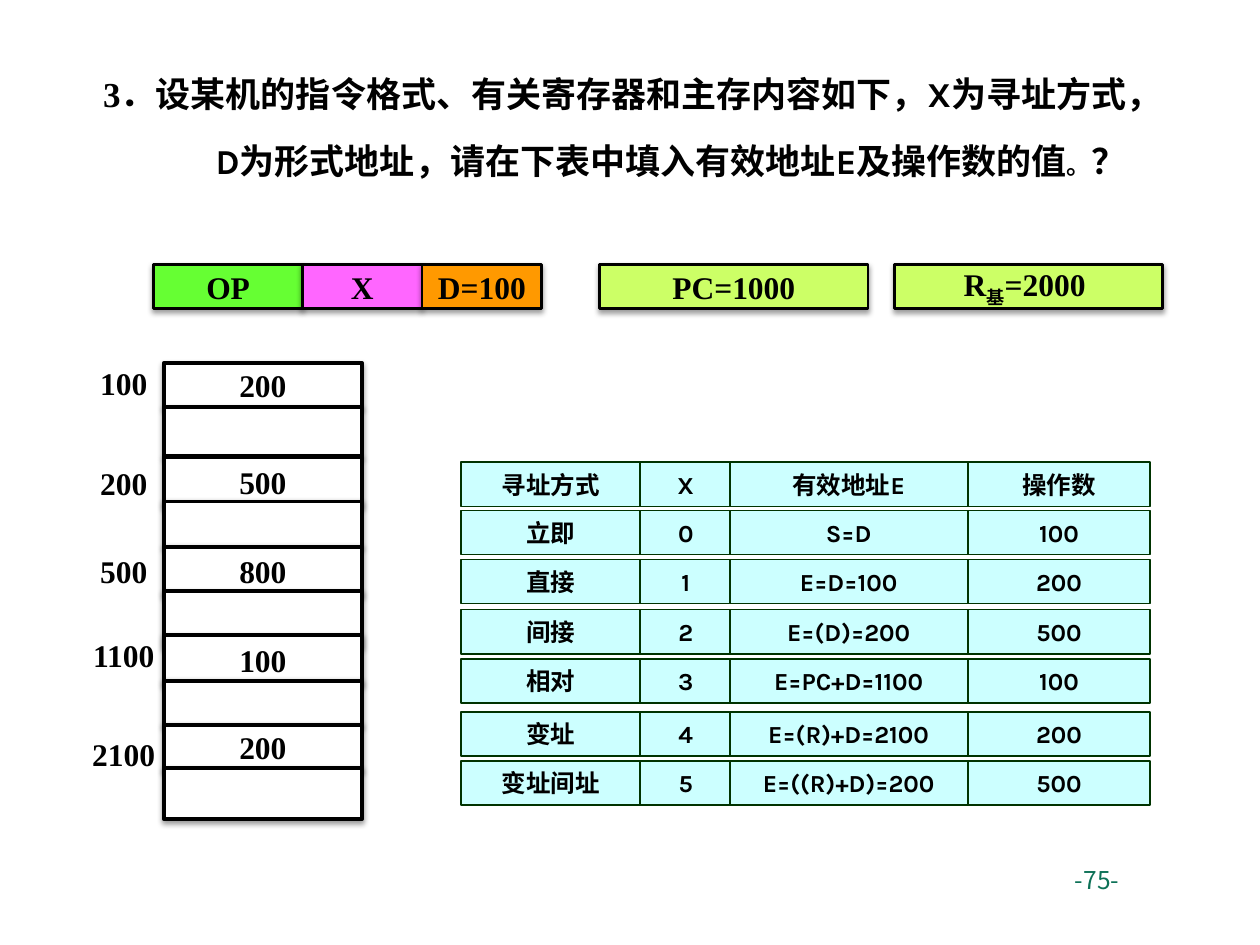
from lxml.etree import SubElement
from pptx import Presentation
from pptx.dml.color import RGBColor
from pptx.enum.shapes import MSO_SHAPE
from pptx.enum.text import MSO_ANCHOR, MSO_AUTO_SIZE, PP_ALIGN
from pptx.oxml.ns import qn
from pptx.util import Cm, Pt


def colour(code):
    return RGBColor.from_string(code)


class Sheet:
    serif = "Times New Roman"
    sans = "Karla"
    ink = "000000"
    table_fill = "CCFFFF"
    table_line = "003300"

    def __init__(self, page):
        self.page = page

    def style(self, span, size, font, code=ink, bold=True):
        span.font.size = Pt(size)
        span.font.name = font
        span.font.bold = bold
        span.font.color.rgb = colour(code)

    def centre_text(self, box, text, size, font):
        frame = box.text_frame
        frame.text = text
        frame.vertical_anchor = MSO_ANCHOR.MIDDLE
        para = frame.paragraphs[0]
        para.alignment = PP_ALIGN.CENTER
        for span in para.runs:
            self.style(span, size, font)
        return para

    def rectangle(self, left, top, width, height, fill, line, weight):
        box = self.page.shapes.add_shape(
            MSO_SHAPE.RECTANGLE, Cm(left), Cm(top), Cm(width), Cm(height))
        box.shadow.inherit = False
        box.fill.solid()
        box.fill.fore_color.rgb = colour(fill)
        box.line.color.rgb = colour(line)
        box.line.width = Pt(weight)
        return box

    def block(self, left, top, width, height, text, fill="FFFFFF", weight=2.25):
        box = self.rectangle(left, top, width, height, fill, self.ink, weight)
        effects = box.element.spPr.find(qn("a:effectLst"))
        shadow = SubElement(effects, qn("a:outerShdw"), blurRad="40000",
                            dist="20000", dir="5400000", rotWithShape="0")
        tint = SubElement(shadow, qn("a:srgbClr"), val=self.ink)
        SubElement(tint, qn("a:alpha"), val="38000")
        box.text_frame.word_wrap = False
        return self.centre_text(box, text, 18, self.serif)

    def cell(self, left, top, width, text):
        box = self.rectangle(left, top, width, 0.89, self.table_fill, self.table_line, 1)
        box.text_frame.word_wrap = True
        box.text_frame.auto_size = MSO_AUTO_SIZE.SHAPE_TO_FIT_TEXT
        self.centre_text(box, text, 14, self.sans)

    def text_box(self, left, top, width, height):
        box = self.page.shapes.add_textbox(Cm(left), Cm(top), Cm(width), Cm(height))
        box.text_frame.word_wrap = True
        return box

    def address(self, top, text):
        box = self.text_box(1.3, top, 2.39, 1.02)
        box.text_frame.auto_size = MSO_AUTO_SIZE.SHAPE_TO_FIT_TEXT
        self.centre_text(box, text, 18, self.serif)

    def question(self, parts):
        box = self.text_box(0.89, 0.71, 22.07, 3.2)
        frame = box.text_frame
        frame.auto_size = MSO_AUTO_SIZE.SHAPE_TO_FIT_TEXT
        frame.vertical_anchor = MSO_ANCHOR.MIDDLE
        frame.margin_top = frame.margin_bottom = Cm(0.23)
        para = frame.paragraphs[0]
        para.alignment = PP_ALIGN.RIGHT
        para.line_spacing = 1.6
        properties = para._p.get_or_add_pPr()
        properties.set("marL", "0")
        properties.set("indent", str(Cm(0.76)))
        for text, size, font in parts:
            span = para.add_run()
            span.text = text
            self.style(span, size, font)

    def page_number(self, text):
        box = self.text_box(21.31, 17.32, 2.82, 1.32)
        box.text_frame.text = text
        self.style(box.text_frame.paragraphs[0].runs[0], 14,
                   "Noto Sans CJK SC", "0D7157", False)


def main():
    deck = Presentation()
    deck.slide_width, deck.slide_height = Cm(25.4), Cm(19.05)
    sheet = Sheet(deck.slides.add_slide(deck.slide_layouts[6]))

    memory = [
        (7.32, 0.89, "200"), (8.2, 0.99, ""),
        (9.22, 0.99, "500"), (10.11, 0.91, ""),
        (11.02, 0.99, "800"), (11.91, 1.12, ""),
        (12.8, 0.99, "100"), (13.72, 0.91, ""),
        (14.61, 0.91, "200"), (15.49, 1.02, ""),
    ]
    for top, height, value in memory:
        sheet.block(3.3, top, 4, height, value)

    addresses = [(7.21, "100"), (9.22, "200"), (11, "500"), (12.7, "1100"), (14.68, "2100")]
    for top, text in addresses:
        sheet.address(top, text)

    fields = [
        (3.1, 3, "OP", "66FF33"), (6.1, 2.41, "X", "FF66FF"),
        (8.51, 2.41, "D=100", "FF9900"), (12.09, 5.41, "PC=1000", "CCFF66"),
    ]
    for left, width, text, fill in fields:
        sheet.block(left, 5.33, width, 0.89, text, fill, 1.5)

    base_register = sheet.block(18.03, 5.33, 5.41, 0.89, "R", "CCFF66", 1.5)
    for text, baseline in [("基", "-25000"), ("=2000 ", "0")]:
        span = base_register.add_run()
        span.text = text
        sheet.style(span, 18, sheet.serif)
        span._r.get_or_add_rPr().set("baseline", baseline)

    row_tops = [9.32, 10.29, 11.28, 12.29, 13.28, 14.35, 15.34]
    columns = [
        (9.3, 3.61, ["寻址方式", "立即", "直接", "间接", "相对", "变址", "变址间址"]),
        (12.9, 1.85, ["X", "0", "1", "2", "3", "4", "5"]),
        (19.51, 3.68, ["操作数", "100", "200", "500", "100", "200", "500"]),
        (14.71, 4.8, ["有效地址E", "S=D", "E=D=100", "E=(D)=200",
                      "E=PC+D=1100", "E=(R)+D=2100", "E=((R)+D)=200"]),
    ]
    for left, width, texts in columns:
        for top, text in zip(row_tops, texts):
            sheet.cell(left, top, width, text)

    sheet.question([
        ("3．", 20, sheet.serif),
        ("设某机的指令格式、有关寄存器和主存内容如下，X为寻址方式，"
         "D为形式地址，请在下表中填入有效地址E及操作数的值", 20, sheet.sans),
        ("。", 14, sheet.sans),
        ("？", 20, sheet.serif),
    ])
    sheet.page_number(" -75-")
    deck.save("out.pptx")


if __name__ == "__main__":
    main()
